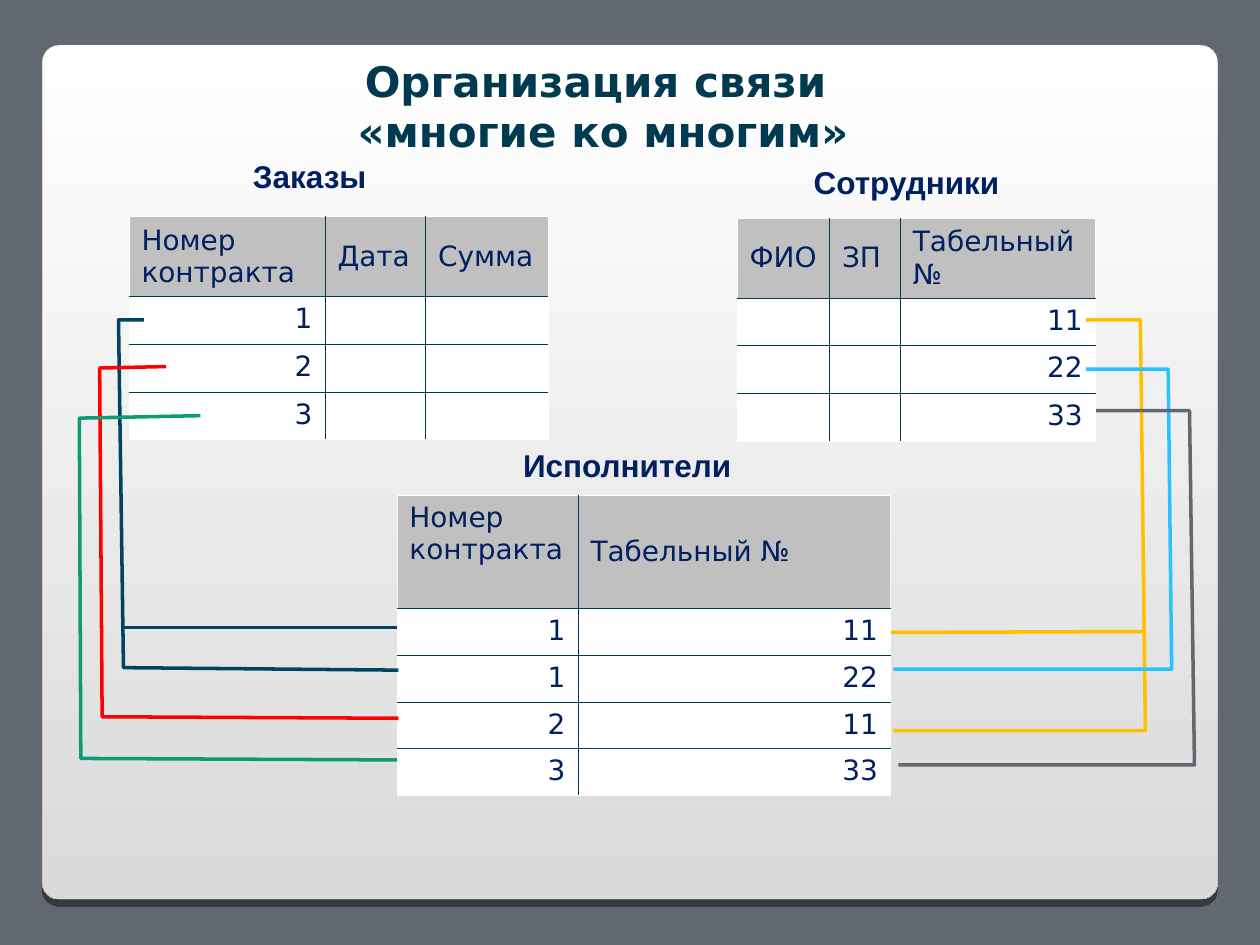
import dataclasses

import pptx
import pptx.dml.color
import pptx.enum.shapes
import pptx.enum.text
import pptx.oxml.ns
import pptx.util
from lxml import etree

Cm, Pt = pptx.util.Cm, pptx.util.Pt
Rgb = pptx.dml.color.RGBColor.from_string
Align = pptx.enum.text.PP_ALIGN
Anchor = pptx.enum.text.MSO_ANCHOR
qn = pptx.oxml.ns.qn


@dataclasses.dataclass(frozen=True)
class Theme:
    """Colours, fonts and type sizes of the slide."""
    back: str = "626870"
    light: str = "FFFFFF"
    shade: str = "DADADA"
    rim: str = "A4A3A3"
    title: str = "003A51"
    text: str = "002060"
    head: str = "C0C0C0"
    grid: str = "003A51"
    navy: str = "004365"
    red: str = "FF0000"
    green: str = "0C9B74"
    gold: str = "FFC000"
    sky: str = "28C2FF"
    gray: str = "626870"
    sans: str = "DejaVu Sans"
    label: str = "Arial"
    big: int = 24
    mid: int = 18
    small: int = 16
    wire: int = 2


THEME = Theme()


def style(para, font, size, color, bold=False, align=None):
    """Format the runs of a paragraph."""
    para.alignment = align
    for run in para.runs:
        run.font.name, run.font.size, run.font.bold = font, Pt(size), bold
        run.font.color.rgb = Rgb(color)


def panel(slide, left, top, width, height):
    """Place the rounded panel behind everything else."""
    kind = pptx.enum.shapes.MSO_SHAPE.ROUNDED_RECTANGLE
    shape = slide.shapes.add_shape(kind, Cm(left), Cm(top), Cm(width), Cm(height))
    shape.adjustments[0] = 0.02
    shape.fill.gradient()
    shape.fill.gradient_angle = 270
    for stop, color, place in zip(shape.fill.gradient_stops, (THEME.light, THEME.shade), (0, 1)):
        stop.color.rgb, stop.position = Rgb(color), place
    shape.line.color.rgb, shape.line.width = Rgb(THEME.rim), Pt(0.17)
    shape.shadow.inherit = False
    effects = shape._element.spPr.find(qn("a:effectLst"))
    cast = etree.SubElement(effects, qn("a:outerShdw"), dist=str(Pt(4)), dir="5400000", algn="t", rotWithShape="0")
    tint = etree.SubElement(cast, qn("a:srgbClr"), val="000000")
    etree.SubElement(tint, qn("a:alpha"), val="44000")
    slide.shapes._spTree.insert(2, shape._element)


def heading(slide, left, top, width, height):
    """Place and format the title."""
    shape = slide.shapes.title
    shape.left, shape.top, shape.width, shape.height = map(Cm, (left, top, width, height))
    frame = shape.text_frame
    frame.text = "Организация связи \v«многие ко многим»"
    frame.auto_size = pptx.enum.text.MSO_AUTO_SIZE.NONE
    frame.vertical_anchor = Anchor.BOTTOM
    style(frame.paragraphs[0], THEME.sans, THEME.big, THEME.title, True, Align.CENTER)


def borders(cell, edges):
    """Draw the cell sides, white on the rim of the table."""
    props = cell._tc.get_or_add_tcPr()
    for side, rim in edges.items():
        line = etree.SubElement(props, qn("a:ln" + side), w=str(Pt(0.45)))
        fill = etree.SubElement(line, qn("a:solidFill"))
        etree.SubElement(fill, qn("a:srgbClr"), val=THEME.light if rim else THEME.grid)


def entity(slide, left, top, name, shift, cols, tall, step, rows, anchor=Anchor.MIDDLE):
    """Place a named table with its caption above it."""
    dx, dy = shift
    box = slide.shapes.add_textbox(Cm(left + dx), Cm(top + dy), Cm(5.31), Cm(1.02))
    box.text_frame.word_wrap = True
    box.text_frame.text = name
    style(box.text_frame.paragraphs[0], THEME.label, THEME.mid, THEME.text, True, Align.CENTER)

    high = tall + step * (len(rows) - 1)
    table = slide.shapes.add_table(
        len(rows), len(cols), Cm(left), Cm(top), Cm(sum(cols)), Cm(high)).table
    table.first_row = table.horz_banding = False
    for col, width in zip(table.columns, cols):
        col.width = Cm(width)
    for r, row in enumerate(rows):
        table.rows[r].height = Cm(step if r else tall)
        for c, text in enumerate(row):
            cell = table.cell(r, c)
            borders(cell, {"L": c == 0, "R": c == len(cols) - 1,
                           "T": r == 0, "B": r == len(rows) - 1})
            cell.fill.solid()
            cell.fill.fore_color.rgb = Rgb(THEME.light if r else THEME.head)
            if not text:
                cell.margin_top = cell.margin_bottom = 0
                continue
            cell.text = text
            if r == 0:
                cell.vertical_anchor = Anchor.MIDDLE if c else anchor
            style(cell.text_frame.paragraphs[0], THEME.sans, THEME.small, THEME.text,
                  align=Align.RIGHT if r else Align.LEFT)


def wires(slide, left, top, routes):
    """Draw the coloured links between keys, relative to a corner."""
    for color, route in routes:
        spots = [(Cm(left + x), Cm(top + y)) for x, y in route]
        if len(spots) == 2:
            kind = pptx.enum.shapes.MSO_CONNECTOR.STRAIGHT
            wire = slide.shapes.add_connector(kind, *spots[0], *spots[1])
        else:
            path = slide.shapes.build_freeform(*spots[0])
            path.add_line_segments(spots[1:], close=False)
            wire = path.convert_to_shape()
            wire.fill.background()
        wire.line.color.rgb, wire.line.width = Rgb(color), Pt(THEME.wire)
        etree.SubElement(wire._element.spPr, qn("a:effectLst"))


def main():
    """Build and save the slide."""
    deck = pptx.Presentation()
    deck.slide_width, deck.slide_height = Cm(25.4), Cm(19.05)
    slide = deck.slides.add_slide(deck.slide_layouts[5])
    slide.background.fill.solid()
    slide.background.fill.fore_color.rgb = Rgb(THEME.back)

    panel(slide, 0.85, 0.91, 23.7, 17.22)
    heading(slide, 0.79, 1.75, 22.73, 1.52)
    entity(slide, 2.6, 4.37, "Заказы", (0.99, -1.32), (3.95, 2.03, 2.47), 1.61, 0.96,
           [("Номер контракта", "Дата", "Сумма"), ("1", "", ""), ("2", "", ""), ("3", "", "")])
    entity(slide, 14.86, 4.4, "Сотрудники", (0.76, -1.24), (1.86, 1.43, 3.93), 1.61, 0.96,
           [("ФИО", "ЗП", "Табельный №"), ("", "", "11"), ("", "", "22"), ("", "", "33")])
    entity(slide, 8, 9.98, "Исполнители", (1.99, -1.12), (3.65, 6.3), 2.29, 0.94,
           [("Номер контракта", "Табельный №"),
            ("1", "11"), ("1", "22"), ("2", "11"), ("3", "33")], Anchor.TOP)

    wires(slide, 1.6, 6.45, [
        (THEME.navy, [(1.3, 0), (0.79, 0), (0.89, 7.01), (6.43, 7.06)]),
        (THEME.navy, [(6.4, 6.2), (0.86, 6.2)]),
        (THEME.red, [(1.75, 0.94), (0.41, 0.97), (0.46, 8), (6.43, 8.03)]),
        (THEME.green, [(2.44, 1.93), (0, 1.98), (0.03, 8.84), (6.4, 8.87)])])
    wires(slide, 17.96, 6.45, [
        (THEME.gold, [(3.93, 0), (5.03, 0), (5.13, 8.28), (0.05, 8.28)]),
        (THEME.gold, [(0, 6.3), (5.13, 6.28)]),
        (THEME.sky, [(3.93, 0.99), (5.59, 0.99), (5.66, 7.04), (0.05, 7.04)]),
        (THEME.gray, [(4.14, 1.83), (6.02, 1.83), (6.12, 8.97), (0.15, 8.97)])])
    deck.save("out.pptx")


if __name__ == "__main__":
    main()
